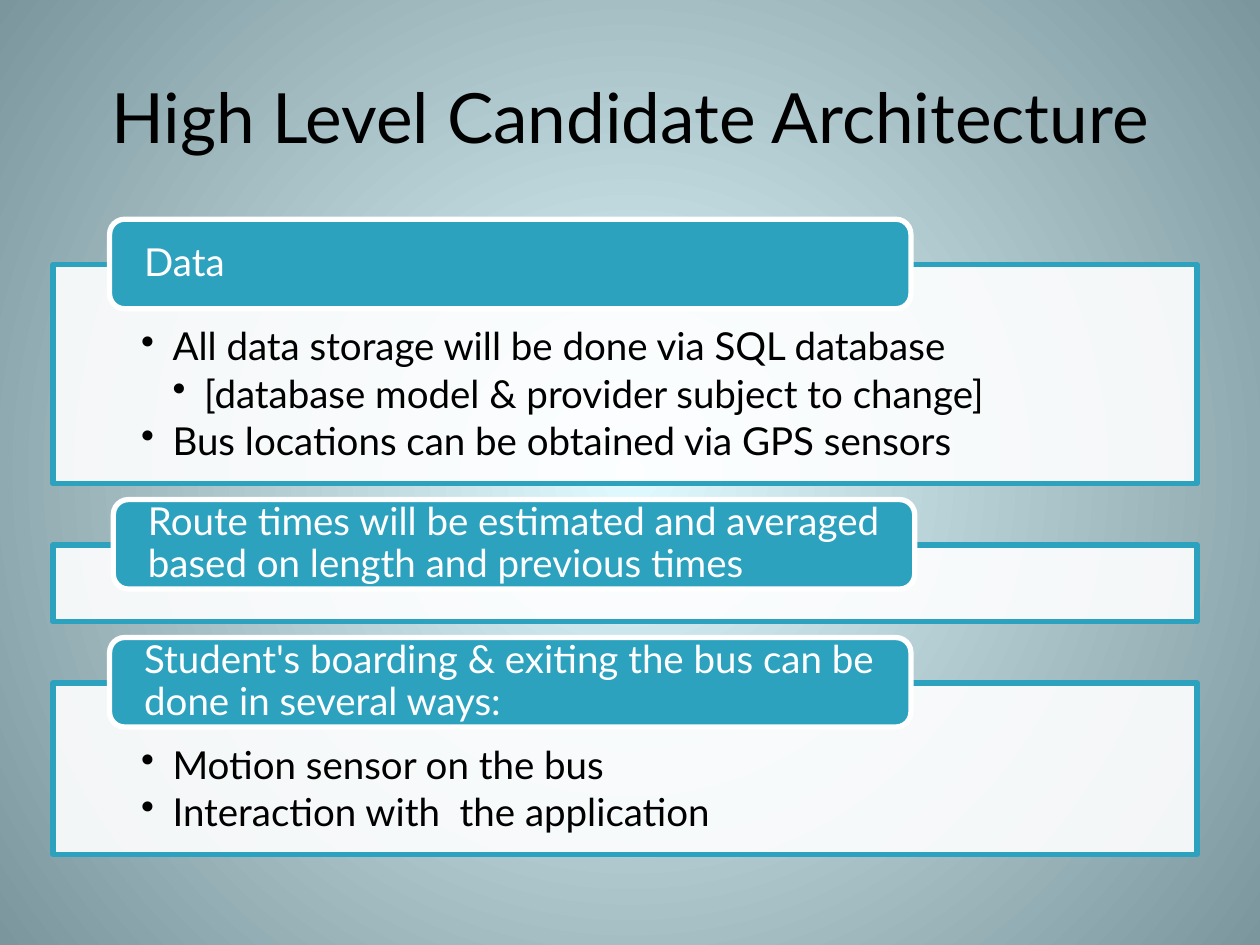
from dataclasses import dataclass

from lxml import etree
from pptx import Presentation
from pptx.dml.color import RGBColor
from pptx.enum.shapes import MSO_SHAPE
from pptx.enum.text import MSO_ANCHOR, PP_ALIGN
from pptx.oxml import parse_xml
from pptx.oxml.ns import nsdecls, qn
from pptx.util import Inches, Pt

RECT, ROUNDED = MSO_SHAPE.RECTANGLE, MSO_SHAPE.ROUNDED_RECTANGLE
TOP, MIDDLE = MSO_ANCHOR.TOP, MSO_ANCHOR.MIDDLE
LEFT, CENTER = PP_ALIGN.LEFT, PP_ALIGN.CENTER

COLUMNS, ROWS = 100, 75

PANEL_LEFT, PANEL_WIDTH = 4.2, 90.8
FIRST_PANEL_TOP, PANEL_GAP = 21, 4.85
TAB_WIDTH, TAB_HEIGHT, TAB_RISE = 63.6, 7.1, 3.6

# Tab heading, tab left column, panel rows, bullets as (level, text)
SECTIONS = [
    ("Data", 8.7, 17.4, [
        (1, "All data storage will be done via SQL database"),
        (2, "[database model & provider subject to change]"),
        (1, "Bus locations can be obtained via GPS sensors"),
    ]),
    ("Route times will be estimated and averaged based on length and previous times",
     9, 6.1, []),
    ("Student's boarding & exiting the bus can be done in several ways:", 8.7, 13.6, [
        (1, "Motion sensor on the bus"),
        (1, "Interaction with  the application"),
    ]),
]


@dataclass(frozen=True)
class Theme:
    font: str = "Lato"
    accent: str = "2DA2BF"
    light: str = "FFFFFF"
    dark: str = "000000"
    glow: str = "E1FAFF"
    edge: str = "7B969C"
    panel_opacity: int = 90
    title_size: float = 39.6
    text_size: float = 22
    outline: float = 3
    line_spacing: float = 0.9
    bullet_gap: float = 3.3
    indent: float = 0.25


class SlideBuilder:
    def __init__(self, deck, theme):
        self.theme = theme
        self.page = deck.slides.add_slide(deck.slide_layouts[6])
        self.column = deck.slide_width / COLUMNS
        self.row = deck.slide_height / ROWS

    def place(self, left, top, width, height):
        """Turn grid columns and rows into slide lengths."""
        return (round(left * self.column), round(top * self.row),
                round(width * self.column), round(height * self.row))

    def background(self):
        """Radial gradient from the centre of the slide."""
        fill = self.page.background.fill
        fill.solid()
        solid = next(self.page.element.iter(qn("a:solidFill")))
        gradient = parse_xml(
            f'<a:gradFill {nsdecls("a")} rotWithShape="1"><a:gsLst>'
            f'<a:gs pos="0"><a:srgbClr val="{self.theme.glow}"/></a:gs>'
            f'<a:gs pos="100000"><a:srgbClr val="{self.theme.edge}"/></a:gs>'
            '</a:gsLst><a:path path="circle">'
            '<a:fillToRect l="50000" t="50000" r="50000" b="50000"/>'
            '</a:path></a:gradFill>')
        solid.getparent().replace(solid, gradient)

    def frame(self, box, anchor, insets):
        frame = box.text_frame
        frame.word_wrap = True
        frame.vertical_anchor = anchor
        (frame.margin_left, frame.margin_top,
         frame.margin_right, frame.margin_bottom) = map(Inches, insets)
        return frame

    def set_text(self, para, text, size, color, align=LEFT):
        para.text = text
        para.alignment = align
        para.font.name = self.theme.font
        para.font.size = Pt(size)
        para.font.color.rgb = RGBColor.from_string(color)

    def bullet(self, para, level):
        """Add the bullet sign; spacing must be set before, as XML order counts."""
        props = para.font._element.getparent()
        props.set("marL", str(Inches(self.theme.indent * level)))
        props.set("indent", str(Inches(-self.theme.indent)))
        sign = etree.Element(qn("a:buChar"), char="•")
        para.font._element.addprevious(sign)

    def box(self, kind, area, fill, line):
        box = self.page.shapes.add_shape(kind, *self.place(*area))
        box.shadow.inherit = False
        box.fill.solid()
        box.fill.fore_color.rgb = RGBColor.from_string(fill)
        box.line.color.rgb = RGBColor.from_string(line)
        box.line.width = Pt(self.theme.outline)
        return box

    def title(self, text, area):
        box = self.page.shapes.add_textbox(*self.place(*area))
        frame = self.frame(box, MIDDLE, (0.1, 0.04, 0.1, 0.05))
        self.set_text(frame.paragraphs[0], text, self.theme.title_size,
                      self.theme.dark, CENTER)

    def panel(self, area, bullets):
        theme = self.theme
        box = self.box(RECT, area, theme.light, theme.accent)
        color = next(box.element.spPr.iter(qn("a:srgbClr")))
        etree.SubElement(color, qn("a:alpha")).set("val", str(theme.panel_opacity * 1000))
        frame = self.frame(box, TOP, (0.7, 0.5, 0.7, 0.17))
        for index, (level, text) in enumerate(bullets):
            para = frame.add_paragraph() if index else frame.paragraphs[0]
            self.set_text(para, text, theme.text_size, theme.dark)
            para.line_spacing = theme.line_spacing
            para.space_after = Pt(theme.bullet_gap)
            self.bullet(para, level)

    def tab(self, area, text):
        theme = self.theme
        box = self.box(ROUNDED, area, theme.accent, theme.light)
        para = self.frame(box, MIDDLE, (0.24, 0, 0.24, 0)).paragraphs[0]
        self.set_text(para, text, theme.text_size, theme.light)
        para.line_spacing = theme.line_spacing


def main():
    deck = Presentation()
    deck.slide_width, deck.slide_height = Inches(10), Inches(7.5)
    slide = SlideBuilder(deck, Theme())
    slide.background()
    slide.title("High Level Candidate Architecture", (5, 3, 90, 12.5))
    top = FIRST_PANEL_TOP
    for heading, tab_left, height, bullets in SECTIONS:
        slide.panel((PANEL_LEFT, top, PANEL_WIDTH, height), bullets)
        slide.tab((tab_left, top - TAB_RISE, TAB_WIDTH, TAB_HEIGHT), heading)
        top += height + PANEL_GAP
    deck.save("out.pptx")


if __name__ == "__main__":
    main()
